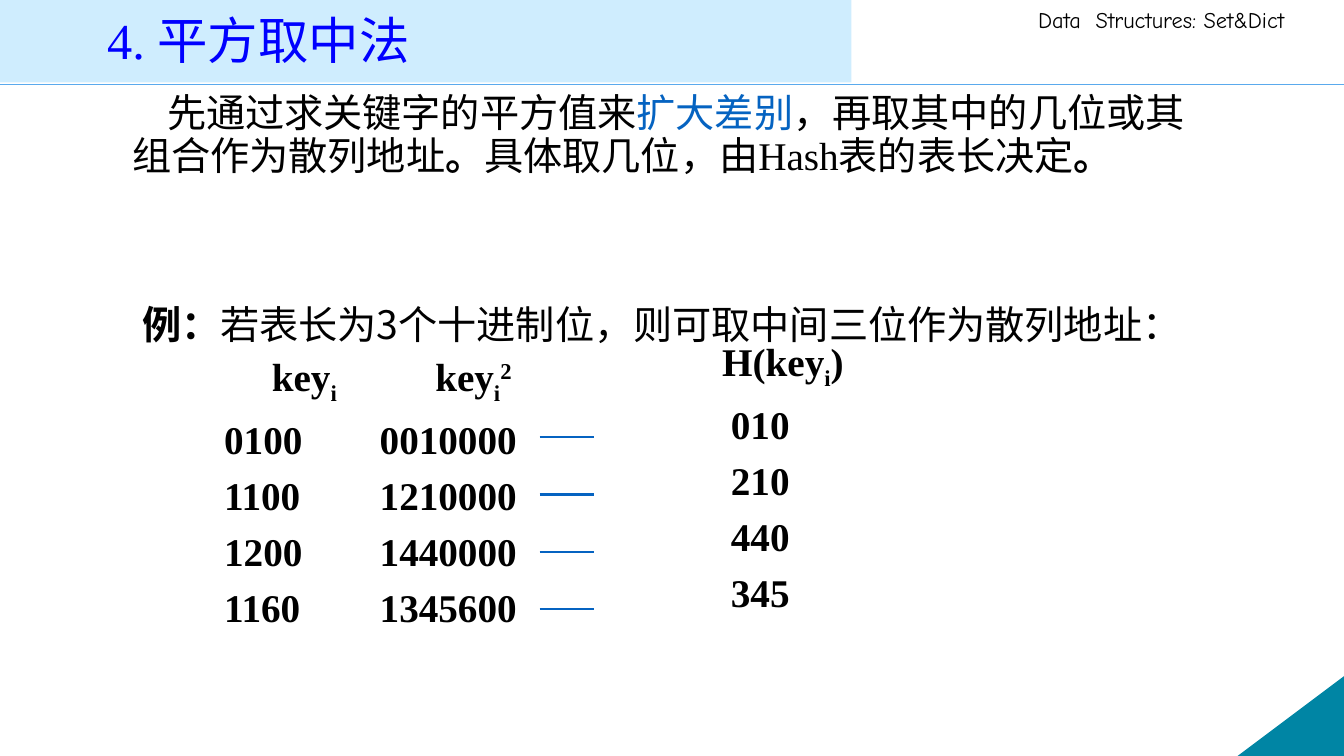
import pptx
import pptx.dml.color
import pptx.enum.shapes
import pptx.enum.text
import pptx.oxml.ns
import pptx.util
from lxml import etree

Cm, Pt = pptx.util.Cm, pptx.util.Pt
SHAPES = pptx.enum.shapes.MSO_SHAPE
COLORS = {"band": "CFEDFE", "rule": "5AAAED", "corner": "0085A4",
          "title": "0000FF", "accent": "0563C1", "text": "000000"}
SERIF, CJK, COMIC = "Times New Roman", "Noto Sans CJK SC", "Comic Neue"
ROW_PITCH = 40


def rgb(name):
    return pptx.dml.color.RGBColor.from_string(COLORS[name])


def add_shape(s, kind, x, y, w, h, color):
    sp = s.shapes.add_shape(kind, Cm(x), Cm(y), Cm(w), Cm(h))
    sp.shadow.inherit = False
    sp.fill.solid()
    sp.fill.fore_color.rgb = rgb(color)
    sp.line.fill.background()
    return sp


def add_rule(s, x1, x2, y, color, width):
    line = s.shapes.add_connector(pptx.enum.shapes.MSO_CONNECTOR.STRAIGHT,
                                  Cm(x1), Cm(y), Cm(x2), Cm(y))
    line.line.color.rgb = rgb(color)
    line.line.width = Pt(width)
    etree.SubElement(line._element.spPr, pptx.oxml.ns.qn("a:effectLst"))


def add_box(s, x, y, w, h):
    """Add a wrapping text box without margins and return its text frame."""
    tf = s.shapes.add_textbox(Cm(x), Cm(y), Cm(w), Cm(h)).text_frame
    tf.word_wrap = True
    tf.margin_left = tf.margin_right = tf.margin_top = tf.margin_bottom = 0
    return tf


def add_run(p, text, size=28, font=SERIF, color="text", bold=False, baseline=0):
    """Add a run; baseline is the raise or drop in percent."""
    r = p.add_run()
    r.text = text
    r.font.size = Pt(size)
    r.font.name = font
    r.font.bold = bold
    r.font.color.rgb = rgb(color)
    rPr = r._r.get_or_add_rPr()
    etree.SubElement(rPr, pptx.oxml.ns.qn("a:ea")).set("typeface", CJK)
    if baseline:
        rPr.set("baseline", str(baseline * 1000))


def set_indent(p, left, first=0):
    pPr = p._p.get_or_add_pPr()
    pPr.set("marL", str(Cm(left)))
    pPr.set("indent", str(Cm(first)))


def header(s, w, h):
    add_rule(s, 0, w, h, "rule", 1)
    add_shape(s, SHAPES.RECTANGLE, 0, 0, 21.46, h - 0.05, "band")
    add_run(add_box(s, 26.16, 0.15, w - 26.16, 0.7).paragraphs[0],
            "Data  Structures: Set&Dict", 16, COMIC)
    add_run(add_box(s, 2.7, 0.23, 18, 1.85).paragraphs[0],
            "4. 平方取中法", 36, color="title")


def corner(s, x, y, w, h):
    sp = add_shape(s, SHAPES.RIGHT_TRIANGLE, x, y, w, h, "corner")
    sp._element.spPr.get_or_add_xfrm().set("flipH", "1")


def explanation(s, x, y, w):
    p = add_box(s, x, y, w, 2.2).paragraphs[0]
    p.line_spacing = Pt(30.7)
    set_indent(p, 0, 0.88)
    add_run(p, "先通过求关键字的平方值来", font=CJK)
    add_run(p, "扩大差别", font=CJK, color="accent")
    add_run(p, "，再取其中的几位或其组合作为散列地址", font=CJK)
    add_run(p, "。", bold=True)
    add_run(p, "具体取几位，由Hash表的表长决定")
    add_run(p, "。", bold=True)


def example(s, x, y, w):
    p = add_box(s, x, y, w, 1.1).paragraphs[0]
    p.line_spacing = Pt(30.7)
    add_run(p, "例：", bold=True)
    add_run(p, "若表长为3个十进制位，则可取中间三位作为散列地址：", font=CJK)


def column(s, x, y, w, heading, heading_indent, values, value_indent=0):
    """Stack a heading of (text, baseline) parts over its values."""
    tf = add_box(s, x, y, w, 7.1)
    p = tf.paragraphs[0]
    p.line_spacing = Pt(ROW_PITCH)
    set_indent(p, heading_indent)
    for text, baseline in heading:
        add_run(p, text, bold=True, baseline=baseline)
    for value in values:
        p = tf.add_paragraph()
        p.line_spacing = Pt(ROW_PITCH)
        set_indent(p, value_indent)
        add_run(p, value, bold=True)


def hash_table(s, x, y):
    key = [("key", 0), ("i", -25)]
    column(s, x, y, 3.5, key, 1.2, ["0100", "1100", "1200", "1160"])
    column(s, x + 3.92, y, 3.9, key + [("2", 30)], 1.4,
           ["0010000", "1210000", "1440000", "1345600"])
    for row in range(4):
        add_rule(s, x + 7.95, x + 9.33, y + 2.2 + row * 1.44, "accent", 1.5)
    column(s, x + 12.55, y - 0.38, 4, [("H(key", 0), ("i", -25), (")", 0)], 0,
           ["010", "210", "440", "345"], 0.22)


def main():
    prs = pptx.Presentation()
    prs.slide_width, prs.slide_height = Cm(33.87), Cm(19.05)
    s = prs.slides.add_slide(prs.slide_layouts[6])
    header(s, 33.87, 2.13)
    corner(s, 31.19, 17.04, 2.68, 2.01)
    explanation(s, 3.33, 2.34, 26.9)
    example(s, 3.58, 7.66, 27)
    hash_table(s, 5.65, 8.82)
    prs.save("out.pptx")


if __name__ == "__main__":
    main()
